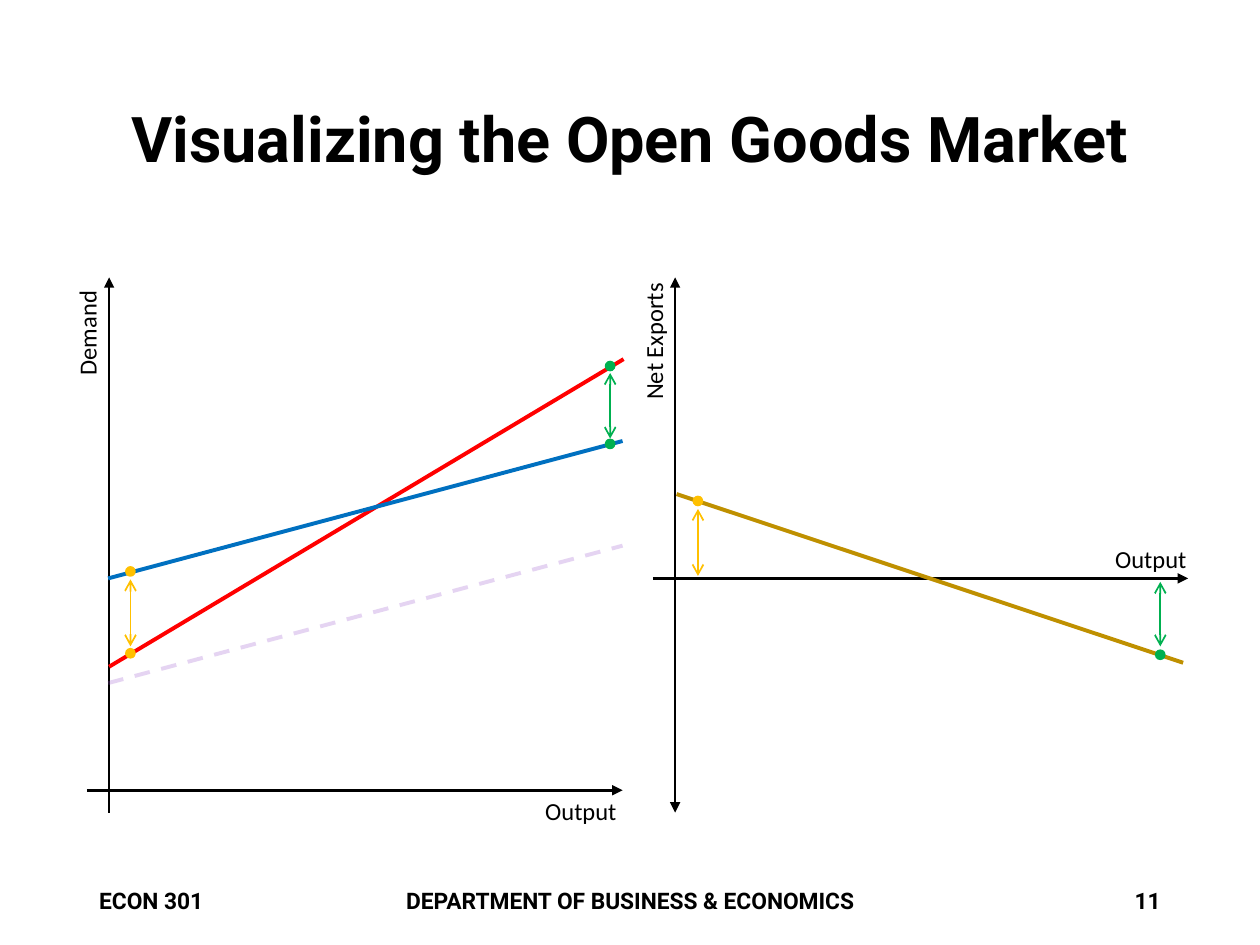
import pptx
import pptx.util
import pptx.dml.color
import pptx.enum.dml
import pptx.enum.shapes
import pptx.enum.text
import pptx.oxml.ns
import lxml.etree
from pptx.util import Cm

COLORS = {
    "ink": "000000",
    "supply": "FF0000",
    "domestic": "9C5BCD",
    "demand": "0070C0",
    "net_exports": "BF9000",
    "surplus": "FFC000",
    "deficit": "00B050",
}
ALIGN = pptx.enum.text.PP_ALIGN


def add_element(parent, tag, **attributes):
    return lxml.etree.SubElement(parent, pptx.oxml.ns.qn(tag), attributes)


class Board:
    """Holds the style and the slide being drawn; lengths are centimetres."""

    heading_font = "Roboto"
    label_font = "Calibri"
    dot_size = 0.18

    def __init__(self, slide):
        self.slide = slide

    def color(self, name):
        return pptx.dml.color.RGBColor.from_string(COLORS[name])

    def text(self, words, left, top, width, height, size, font, bold=False,
             align=ALIGN.LEFT, wrap=True, rotation=0, spacing=None):
        shape = self.slide.shapes.add_textbox(Cm(left), Cm(top), Cm(width), Cm(height))
        shape.rotation = rotation
        frame = shape.text_frame
        frame.word_wrap = wrap
        if wrap:
            frame.vertical_anchor = pptx.enum.text.MSO_ANCHOR.MIDDLE
        paragraph = frame.paragraphs[0]
        paragraph.text = words
        paragraph.alignment = align
        paragraph.line_spacing = spacing
        paragraph.font.name = font
        paragraph.font.size = pptx.util.Pt(size)
        paragraph.font.bold = bold
        paragraph.font.color.rgb = self.color("ink")

    def heading(self, words, left, top, width, height, size, align, spacing=None):
        self.text(words, left, top, width, height, size, self.heading_font,
                  bold=True, align=align, spacing=spacing)

    def axis_label(self, words, left, top, width, rotation=0):
        self.text(words, left, top, width, 0.86, 14, self.label_font,
                  wrap=False, rotation=rotation)

    def line(self, start, end, color, width=2.25, head=None, tail=None,
             dashed=False, opacity=None):
        connector = self.slide.shapes.add_connector(
            pptx.enum.shapes.MSO_CONNECTOR.STRAIGHT,
            Cm(start[0]), Cm(start[1]), Cm(end[0]), Cm(end[1]))
        connector.line.color.rgb = self.color(color)
        connector.line.width = pptx.util.Pt(width)
        if dashed:
            connector.line.dash_style = pptx.enum.dml.MSO_LINE.DASH
        properties = connector.element.spPr
        outline = properties.find(pptx.oxml.ns.qn("a:ln"))
        if opacity is not None:
            fill = outline.find(".//" + pptx.oxml.ns.qn("a:srgbClr"))
            add_element(fill, "a:alpha", val=str(opacity * 1000))
        if head:
            add_element(outline, "a:headEnd", type=head)
        if tail:
            add_element(outline, "a:tailEnd", type=tail)
        add_element(properties, "a:effectLst")

    def axis(self, start, end, head=None):
        self.line(start, end, "ink", 1.5, head=head, tail="triangle")

    def dot(self, x, y, color):
        size = Cm(self.dot_size)
        shape = self.slide.shapes.add_shape(
            pptx.enum.shapes.MSO_SHAPE.OVAL,
            Cm(x - self.dot_size / 2), Cm(y - self.dot_size / 2), size, size)
        shape.shadow.inherit = False
        shape.fill.solid()
        shape.fill.fore_color.rgb = self.color(color)
        shape.line.color.rgb = self.color(color)
        shape.line.width = pptx.util.Pt(1)

    def gap(self, x, top, bottom, color, dots):
        """Double-headed arrow with a dot at each height in dots."""
        self.line((x, top), (x, bottom), color, 1, head="arrow", tail="arrow")
        for y in dots:
            self.dot(x, y, color)


def main():
    presentation = pptx.Presentation()
    presentation.slide_width = Cm(25.4)
    presentation.slide_height = Cm(19.05)
    board = Board(presentation.slides.add_slide(presentation.slide_layouts[6]))

    board.heading("Visualizing the Open Goods Market", 1.75, 1.02, 21.9, 3.68,
                  36, ALIGN.CENTER, spacing=0.9)
    for words, left, width, align in (
        ("ECON 301", 1.75, 5.72, ALIGN.LEFT),
        ("DEPARTMENT OF BUSINESS & ECONOMICS", 4.7, 16, ALIGN.CENTER),
        ("11", 17.93, 5.72, ALIGN.RIGHT),
    ):
        board.heading(words, left, 17.65, width, 1.02, 13, align)

    # Demand against output
    board.axis((1.75, 15.93), (12.55, 15.93))
    board.axis((2.2, 16.38), (2.2, 5.59))
    board.axis_label("Output", 10.74, 15.93, 1.98)
    board.axis_label("Demand", 0.64, 6.27, 2.24, rotation=270)
    board.line((2.2, 13.44), (12.57, 7.24), "supply")
    board.line((2.18, 13.77), (12.55, 11), "domestic", dashed=True, opacity=25)
    board.line((2.18, 11.66), (12.55, 8.89), "demand")
    board.gap(2.63, 11.68, 13.03, "surplus", (11.52, 13.17))
    board.gap(12.3, 7.52, 8.84, "deficit", (7.38, 8.95))

    # Net exports against output
    board.axis((13.16, 11.66), (23.95, 11.66))
    board.axis((13.61, 16.38), (13.61, 5.59), head="triangle")
    board.axis_label("Output", 22.23, 10.85, 1.98)
    board.axis_label("Net Exports", 11.73, 6.43, 2.9, rotation=270)
    board.line((13.64, 9.96), (23.85, 13.36), "net_exports")
    board.gap(14.07, 10.26, 11.61, "surplus", (10.1,))
    board.gap(23.39, 11.73, 13.03, "deficit", (13.2,))

    presentation.save("out.pptx")


if __name__ == "__main__":
    main()
